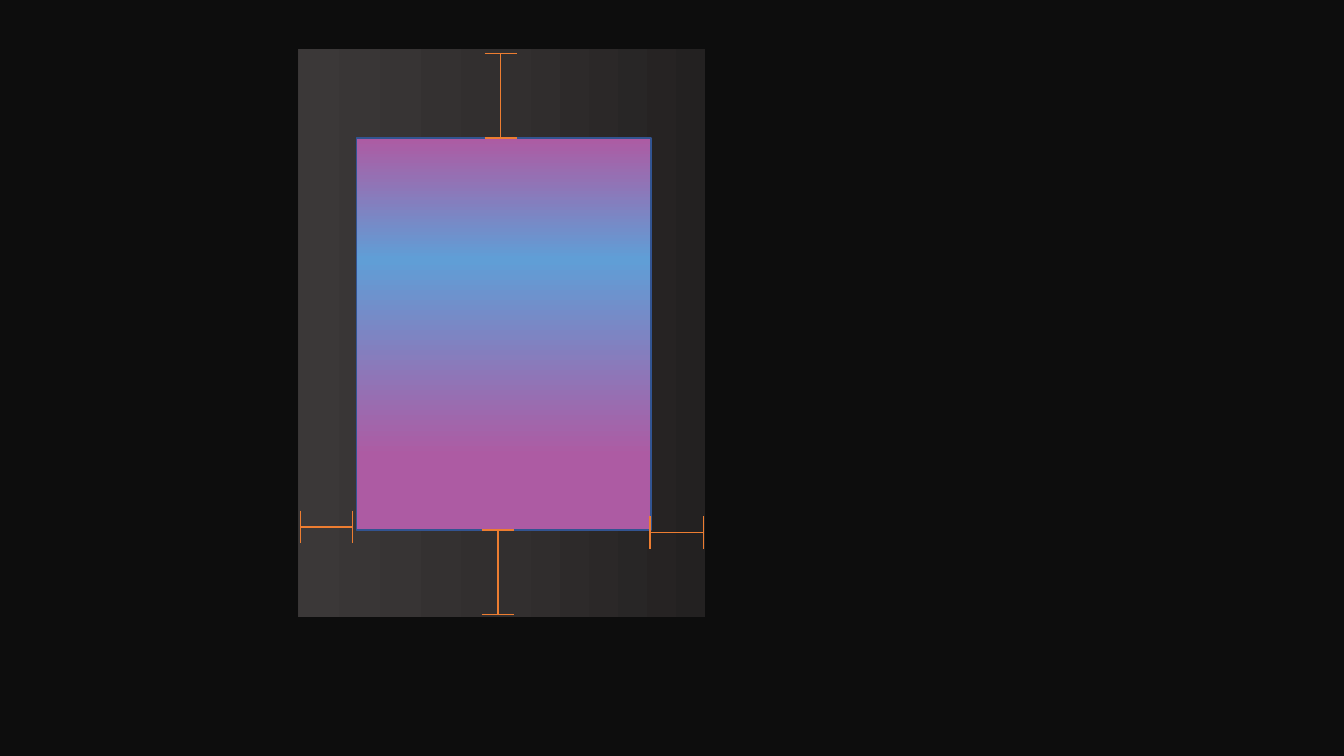
import pptx
import pptx.dml.color
import pptx.enum.shapes
import pptx.oxml.ns
import pptx.util
from lxml import etree

Cm = pptx.util.Cm
qn = pptx.oxml.ns.qn
STYLE = {"back": "0D0D0D", "edge": "325491", "mark": "ED7D31", "width": 1, "cap": 0.41}


def color(code):
    return pptx.dml.color.RGBColor.from_string(code)


class Board:
    def __init__(self, slide, style):
        self.slide = slide
        self.style = style
        fill = slide.background.fill
        fill.solid()
        fill.fore_color.rgb = color(style["back"])

    def stroke(self, line, code):
        line.color.rgb = color(code)
        line.width = pptx.util.Pt(self.style["width"])

    def panel(self, left, top, width, height, stops, angle, edge=None):
        """Rectangle with a gradient; the angle runs clockwise."""
        kind = pptx.enum.shapes.MSO_SHAPE.RECTANGLE
        box = self.slide.shapes.add_shape(kind, Cm(left), Cm(top), Cm(width), Cm(height))
        box.shadow.inherit = False
        box.fill.gradient()
        box.fill.gradient_angle = 360 - angle
        bands = next(box.element.iter(qn("a:gsLst")))
        for band in list(bands):
            bands.remove(band)
        for place, code in stops:
            band = etree.SubElement(bands, qn("a:gs"), pos=str(place * 1000))
            etree.SubElement(band, qn("a:srgbClr"), val=code)
        if edge:
            self.stroke(box.line, edge)
        else:
            box.line.fill.background()

    def line(self, group, start, end):
        kind = pptx.enum.shapes.MSO_CONNECTOR.STRAIGHT
        link = group.shapes.add_connector(kind, *(Cm(v) for v in (*start, *end)))
        self.stroke(link.line, self.style["mark"])
        etree.SubElement(link.element.spPr, qn("a:effectLst"))

    def gauge(self, start, end):
        """Shaft from start to end with a cap across each end."""
        group = self.slide.shapes.add_group_shape()
        cap = self.style["cap"]
        dx, dy = (cap, 0) if start[0] == end[0] else (0, cap)
        for x, y in (start, end):
            self.line(group, (x - dx, y - dy), (x + dx, y + dy))
        self.line(group, start, end)


def main():
    deck = pptx.Presentation()
    deck.slide_width, deck.slide_height = Cm(33.87), Cm(19.05)
    board = Board(deck.slides.add_slide(deck.slide_layouts[6]), STYLE)

    # Outer frame and inner panel
    board.panel(7.52, 1.24, 10.26, 14.3,
                [(0, "232121"), (50, "322F2F"), (100, "3B3838")], 180)
    board.panel(8.99, 3.48, 7.42, 9.88,
                [(19, "AD5BA3"), (69, "609ED6"), (100, "AD5BA3")], 270, STYLE["edge"])

    # Margin gauges: right, left, top, bottom
    for start, end in [((16.38, 13.42), (17.73, 13.42)),
                       ((7.57, 13.28), (8.89, 13.28)),
                       ((12.62, 1.35), (12.62, 3.48)),
                       ((12.55, 13.36), (12.55, 15.49))]:
        board.gauge(start, end)

    deck.save("out.pptx")


if __name__ == "__main__":
    main()
